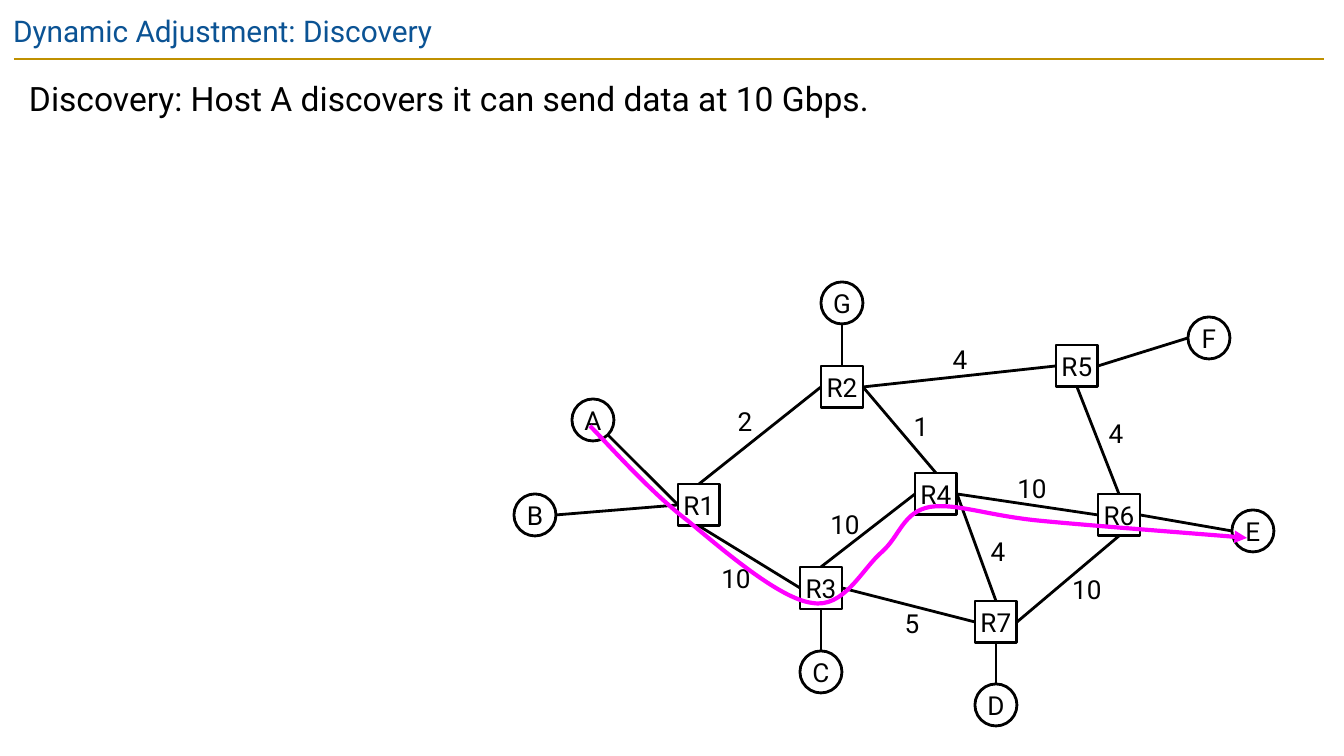
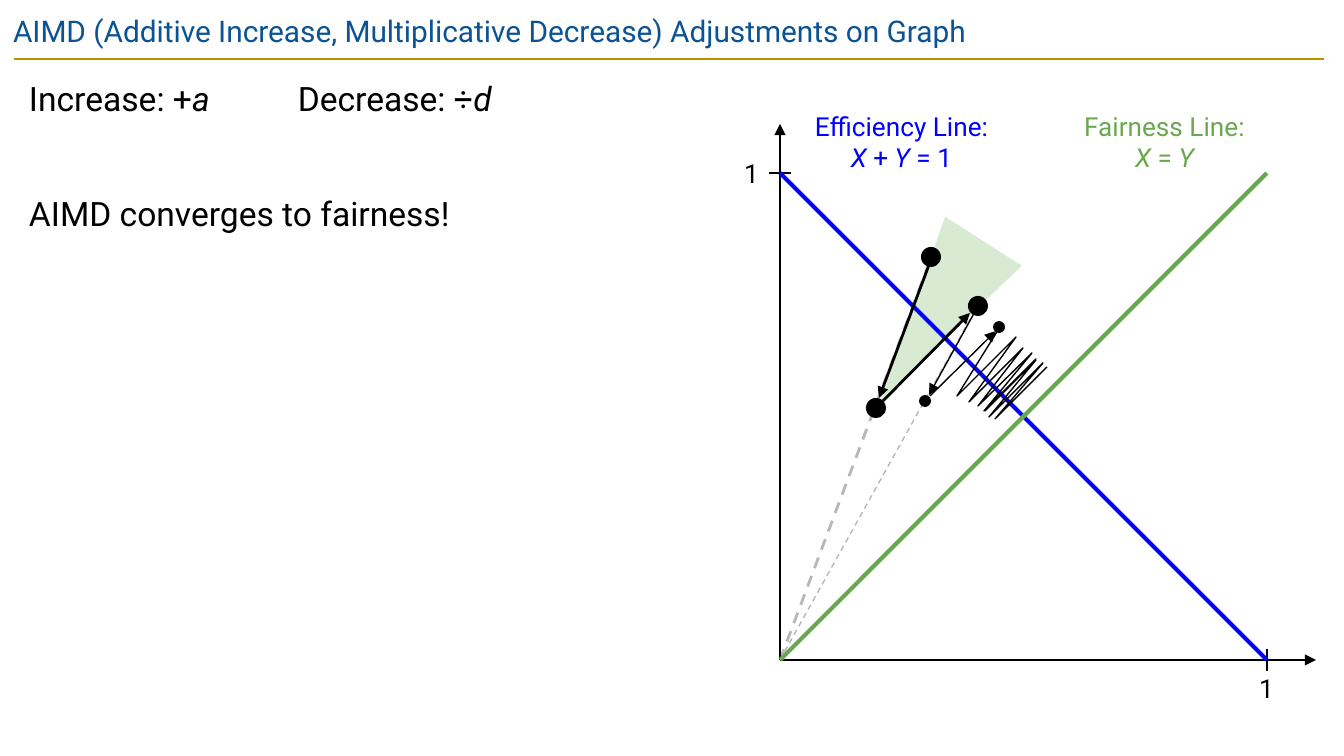
from pptx import Presentation
from pptx.dml.color import RGBColor
from pptx.enum.dml import MSO_LINE
from pptx.enum.shapes import MSO_CONNECTOR, MSO_SHAPE
from pptx.enum.text import MSO_ANCHOR, MSO_AUTO_SIZE, PP_ALIGN
from pptx.oxml.ns import qn
from pptx.util import Emu, Pt
from lxml.etree import SubElement

# Shared look
EMU_PER_PX = 914400 / 134.4
FONT = "Roboto"
BLACK = RGBColor(0x00, 0x00, 0x00)
WHITE = RGBColor(0xFF, 0xFF, 0xFF)
TITLE_BLUE = RGBColor(0x0B, 0x53, 0x94)
GOLD = RGBColor(0xBF, 0x90, 0x00)
MAGENTA = RGBColor(0xFF, 0x00, 0xFF)
BLUE = RGBColor(0x00, 0x00, 0xFF)
GREEN = RGBColor(0x6A, 0xA8, 0x4F)
PALE_GREEN = RGBColor(0xD9, 0xEA, 0xD3)
GRAY = RGBColor(0xB7, 0xB7, 0xB7)
THIN, NORMAL, THICK = 0.75, 1.5, 2.25

# Slide 1: network, node centres in px; text between asterisks is italic
DISCOVERY_TITLE = "Dynamic Adjustment: Discovery"
DISCOVERY_TEXT = ["Discovery: Host A discovers it can send data at 10 Gbps."]
NODE_SIZE = 42
NODES = {
    "A": (593, 420), "B": (535, 515), "C": (821, 672), "D": (996, 705),
    "E": (1253, 531), "F": (1209, 338), "G": (842, 303),
    "R1": (699, 505), "R2": (842, 387), "R3": (821, 588), "R4": (936, 494),
    "R5": (1077, 366), "R6": (1119, 515), "R7": (996, 622),
}
SIDES = {"top": (0, -1), "bottom": (0, 1), "left": (-1, 0), "right": (1, 0),
         "lower right": (0.71, 0.71)}
LINKS = [
    ("A", "lower right", "R1", "left"), ("B", "right", "R1", "left"),
    ("R1", "bottom", "R3", "left"), ("R3", "right", "R7", "left"),
    ("R4", "left", "R3", "top"), ("R4", "right", "R7", "top"),
    ("R2", "left", "R1", "top"), ("R2", "right", "R4", "top"),
    ("R2", "right", "R5", "left"), ("R6", "top", "R5", "bottom"),
    ("R6", "left", "R4", "right"), ("R6", "bottom", "R7", "right"),
    ("G", "bottom", "R2", "top"), ("F", "left", "R5", "right"),
    ("E", "left", "R6", "right"), ("D", "top", "R7", "bottom"),
    ("C", "top", "R3", "bottom"),
]
CAPACITIES = [  # text and centre
    ("10", 736, 578), ("2", 745, 421), ("1", 921, 426), ("4", 960, 359),
    ("4", 1116, 433), ("10", 1032, 488), ("10", 1087, 589), ("4", 998, 551),
    ("5", 912, 623), ("10", 845, 524),
]
ROUTE = [  # start, then three Bezier points for each piece
    (590, 426),
    (606, 442), (650, 492), (688, 521),
    (724, 551), (780, 599), (812, 603),
    (844, 609), (862, 569), (882, 552),
    (900, 536), (903, 512), (930, 507),
    (957, 503), (988, 516), (1042, 521),
    (1094, 526), (1214, 535), (1247, 538),
]

# Slide 2: graph
AIMD_TITLE = "AIMD (Additive Increase, Multiplicative Decrease) Adjustments on Graph"
AIMD_TEXT = ["Increase: +*a*\t\tDecrease: ÷*d*", "AIMD converges to fairness!"]
ORIGIN_X, ORIGIN_Y, UNIT = 780, 660, 487
AXIS_LENGTH, TICK = 536, 11
LINE_LABELS = [
    (["Efficiency Line:", "*X* + *Y* = 1"], 814, BLUE),
    (["Fairness Line:", "*X* = *Y*"], 1077, GREEN),
]
RAYS = [((978, 305), THIN), ((934, 250), NORMAL)]
DOTS = [  # centre and diameter
    (978, 306, 20), (876, 408, 20), (931, 257, 20),
    (925, 401, 12), (999, 327, 12),
]
STEPS = [
    ((883, 401), (970, 313), NORMAL), ((935, 249), (879, 398), NORMAL),
    ((977, 308), (929, 395), THIN), ((930, 396), (996, 331), THIN),
]
ZIGZAG = [
    (1000, 327), (957, 396), (1016, 337), (969, 402), (1023, 348), (978, 406),
    (1032, 353), (984, 411), (1036, 359), (985, 411), (1036, 360), (989, 417),
    (1042, 364), (991, 415), (1043, 363), (995, 419), (1047, 367),
]


def px(value):
    return Emu(round(value * EMU_PER_PX))


def write(shape, lines, size=14, color=BLACK, align=PP_ALIGN.CENTER,
          anchor=MSO_ANCHOR.TOP, inset=0, spacing=None, before=()):
    frame = shape.text_frame
    frame.word_wrap = True
    frame.auto_size = MSO_AUTO_SIZE.NONE
    frame.vertical_anchor = anchor
    frame.margin_left = frame.margin_right = px(inset)
    frame.margin_top = frame.margin_bottom = px(inset)
    for index, line in enumerate(lines):
        para = frame.add_paragraph() if index else frame.paragraphs[0]
        para.alignment = align
        if spacing:
            para.line_spacing = spacing
        if index < len(before):
            para.space_before = Pt(before[index])
        for part, text in enumerate(line.split("*")):
            if text:
                span = para.add_run()
                span.text = text
                span.font.name = FONT
                span.font.size = Pt(size)
                span.font.color.rgb = color
                span.font.italic = part % 2 == 1


def add_text(page, lines, left, top, width, height, **text_format):
    box = page.shapes.add_textbox(px(left), px(top), px(width), px(height))
    write(box, lines, **text_format)


def format_line(shape, color, width, dashed=False, arrow=False):
    shape.line.color.rgb = color
    shape.line.width = Pt(width)
    if dashed:
        shape.line.dash_style = MSO_LINE.DASH
    if arrow:
        SubElement(shape.line._get_or_add_ln(), qn("a:tailEnd"), type="triangle")


def add_line(page, start, end, color=BLACK, width=NORMAL, **line_format):
    line = page.shapes.add_connector(
        MSO_CONNECTOR.STRAIGHT, *(px(value) for value in (*start, *end)))
    format_line(line, color, width, **line_format)
    SubElement(line._element.spPr, qn("a:effectLst"))


def add_shape(page, kind, left, top, width, height, fill, outline=None):
    shape = page.shapes.add_shape(kind, px(left), px(top), px(width), px(height))
    shape.shadow.inherit = False
    shape.fill.solid()
    shape.fill.fore_color.rgb = fill
    if outline is None:
        shape.line.fill.background()
    else:
        format_line(shape, outline, NORMAL)
    return shape


def add_outline(page, points, color, width, curved=False, arrow=False):
    builder = page.shapes.build_freeform(*points[0], scale=EMU_PER_PX)
    builder.add_line_segments(points[1:], close=False)
    shape = builder.convert_to_shape()
    shape.shadow.inherit = False
    shape.fill.background()
    format_line(shape, color, width, arrow=arrow)
    if curved:  # every three straight pieces become one Bezier piece
        outline = shape._element.find(".//" + qn("a:path"))
        pieces = outline.findall(qn("a:lnTo"))
        for first in range(0, len(pieces), 3):
            curve = SubElement(outline, qn("a:cubicBezTo"))
            for piece in pieces[first:first + 3]:
                curve.append(piece[0])
                outline.remove(piece)


def add_page(deck, title, lines, width, before):
    page = deck.slides.add_slide(deck.slide_layouts[5])
    add_line(page, (14, 59), (1324, 59), GOLD)
    heading = page.shapes.title
    heading.left, heading.top = px(0), px(0)
    heading.width, heading.height = px(1253), px(58)
    write(heading, [title], size=16, color=TITLE_BLUE, align=PP_ALIGN.LEFT, inset=13)
    add_text(page, lines, 16, 59, width, 258, size=18, align=PP_ALIGN.LEFT,
             inset=13, spacing=1.15, before=before)
    return page


def add_node(page, name, x, y):
    is_router = name.startswith("R")
    kind = MSO_SHAPE.RECTANGLE if is_router else MSO_SHAPE.OVAL
    node = add_shape(page, kind, x - NODE_SIZE / 2, y - NODE_SIZE / 2,
                     NODE_SIZE, NODE_SIZE, WHITE, BLACK)
    if is_router:
        fill = node._element.spPr.find(qn("a:solidFill"))
        SubElement(fill[0], qn("a:alpha"), val="70000")
    write(node, [name], anchor=MSO_ANCHOR.MIDDLE)


def node_side(name, side):
    return [centre + step * NODE_SIZE / 2
            for centre, step in zip(NODES[name], SIDES[side])]


def build_discovery(deck):
    page = add_page(deck, DISCOVERY_TITLE, DISCOVERY_TEXT, 1309, (6,))
    for name, (x, y) in NODES.items():
        add_node(page, name, x, y)
    for first, first_side, second, second_side in LINKS:
        add_line(page, node_side(first, first_side), node_side(second, second_side))
    for capacity, x, y in CAPACITIES:
        add_text(page, [capacity], x - 21, y - 20, 42, 40, inset=4)
    add_outline(page, ROUTE, MAGENTA, THICK, curved=True, arrow=True)


def build_aimd(deck):
    page = add_page(deck, AIMD_TITLE, AIMD_TEXT, 695, (6, 37))
    origin = (ORIGIN_X, ORIGIN_Y)
    right, top = ORIGIN_X + UNIT, ORIGIN_Y - UNIT

    # Reachable wedge and rays from the origin
    wedge = add_shape(page, MSO_SHAPE.ISOSCELES_TRIANGLE, 886, 226, 91, 192, PALE_GREEN)
    wedge.rotation = 212.7
    for end, width in RAYS:
        add_line(page, origin, end, GRAY, width, dashed=True)

    # Axes with their unit ticks
    add_line(page, origin, (ORIGIN_X, ORIGIN_Y - AXIS_LENGTH), arrow=True)
    add_line(page, origin, (ORIGIN_X + AXIS_LENGTH, ORIGIN_Y), arrow=True)
    add_line(page, (ORIGIN_X - TICK, top), (ORIGIN_X + TICK, top))
    add_line(page, (right, ORIGIN_Y - TICK), (right, ORIGIN_Y + TICK))
    add_text(page, ["1"], ORIGIN_X - 46, top - 16, 35, 32)
    add_text(page, ["1"], right - 18, ORIGIN_Y + 12, 35, 32)

    # Efficiency and fairness lines
    add_line(page, (ORIGIN_X, top), (right, ORIGIN_Y), BLUE, THICK)
    add_line(page, origin, (right, top), GREEN, THICK)
    for lines, left, color in LINE_LABELS:
        add_text(page, lines, left, 110, 175, 63, color=color)

    # Steps that converge
    for x, y, size in DOTS:
        add_shape(page, MSO_SHAPE.OVAL, x - size / 2, y - size / 2, size, size, BLACK)
    for start, end, width in STEPS:
        add_line(page, start, end, width=width, arrow=True)
    add_outline(page, ZIGZAG, BLACK, THIN)


def main():
    deck = Presentation()
    deck.slide_width, deck.slide_height = px(1344), px(756)
    build_discovery(deck)
    build_aimd(deck)
    deck.save("out.pptx")


if __name__ == "__main__":
    main()
